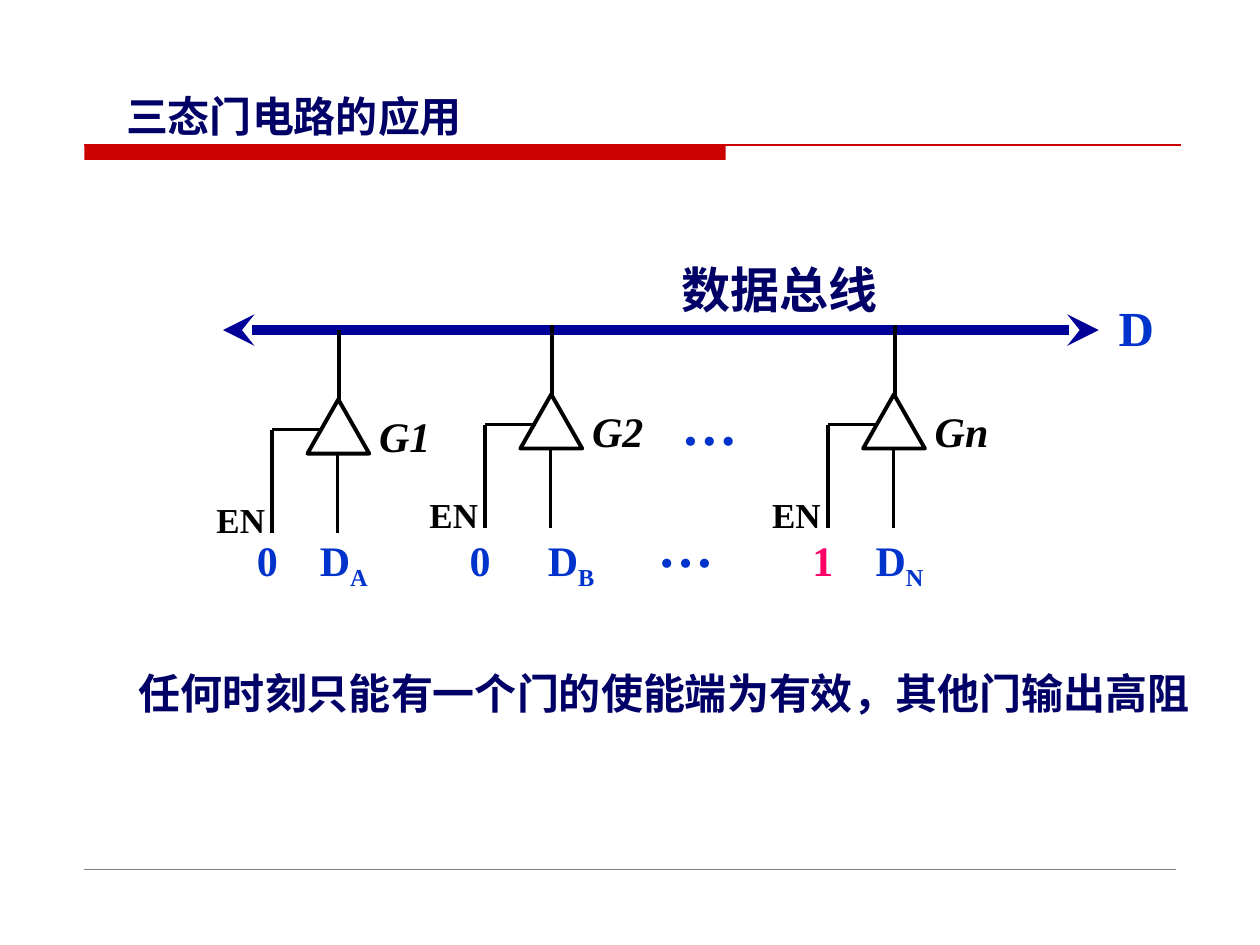
"""Build a slide on three-state gates sharing one data bus."""
from dataclasses import dataclass

from lxml.etree import SubElement
from pptx import Presentation
from pptx.dml.color import RGBColor
from pptx.enum.lang import MSO_LANGUAGE_ID
from pptx.enum.shapes import MSO_CONNECTOR, MSO_SHAPE
from pptx.enum.text import MSO_ANCHOR, MSO_AUTO_SIZE, PP_ALIGN
from pptx.oxml.ns import qn
from pptx.util import Inches, Pt

RED = RGBColor(0xCC, 0x00, 0x00)
GRAY = RGBColor(0x80, 0x80, 0x80)
NAVY = RGBColor(0x00, 0x00, 0x66)
BUS_BLUE = RGBColor(0x00, 0x00, 0x99)
BLUE = RGBColor(0x00, 0x33, 0xCC)
PINK = RGBColor(0xFF, 0x00, 0x66)
BLACK = RGBColor(0x00, 0x00, 0x00)
WHITE = RGBColor(0xFF, 0xFF, 0xFF)

SERIF = "Times New Roman"
CHINESE = "Noto Sans CJK SC"
HEADING = {"name": CHINESE, "size": Pt(24), "bold": True}
SIGNAL = {"name": SERIF, "size": Pt(24), "bold": True}
GATE_NAME = {**SIGNAL, "italic": True}
ENABLE = {**SIGNAL, "size": Pt(20)}
BUS = {**SIGNAL, "size": Pt(28)}
DOTS = {**SIGNAL, "size": Pt(32), "language_id": MSO_LANGUAGE_ID.SIMPLIFIED_CHINESE}

SIGNAL_TOP = 4.19
BUS_Y = 2.62


@dataclass(frozen=True)
class Gate:
    """A three-state gate placed by the apex of its triangle."""
    name: str
    x: float
    y: float
    enable: str
    enable_color: RGBColor
    subscript: str
    data_left: float


GATES = (
    Gate("G1", 2.69, 3.17, "0", BLUE, "A", 2.44),
    Gate("G2", 4.38, 3.13, "0", BLUE, "B", 4.25),
    Gate("Gn", 7.1, 3.13, "1", PINK, "N", 6.85),
)


def add_run(paragraph, text: str, style: dict, color: RGBColor):
    """Append a styled run and return it."""
    run = paragraph.add_run()
    run.text = text
    for attribute, value in style.items():
        setattr(run.font, attribute, value)
    run.font.color.rgb = color
    SubElement(run.font._element, qn("a:ea"), typeface=CHINESE)
    return run


def add_label(slide, text: str, box: tuple, style: dict, color: RGBColor, wrap: bool = False):
    """Add a one-line text box and return it."""
    label = slide.shapes.add_textbox(*map(Inches, box))
    label.text_frame.word_wrap = wrap
    add_run(label.text_frame.paragraphs[0], text, style, color)
    return label


def add_wire(slide, start: tuple, end: tuple, color: RGBColor, width: float, arrow: bool = False) -> None:
    """Draw a straight line, with a stealth arrowhead at its end if asked."""
    wire = slide.shapes.add_connector(MSO_CONNECTOR.STRAIGHT, *map(Inches, (*start, *end)))
    wire.line.color.rgb = color
    wire.line.width = Pt(width)
    SubElement(wire._element.spPr, qn("a:effectLst"))
    if arrow:
        SubElement(wire.line._get_or_add_ln(), qn("a:tailEnd"), type="stealth")


def add_block(slide, kind: MSO_SHAPE, box: tuple, fill: RGBColor):
    """Add a flat filled shape without an outline."""
    block = slide.shapes.add_shape(kind, *map(Inches, box))
    block.shadow.inherit = False
    block.fill.solid()
    block.fill.fore_color.rgb = fill
    block.line.fill.background()
    return block


def add_gate(slide, gate: Gate) -> None:
    """Draw a gate with its wires, names and signals."""
    x, y = gate.x, gate.y
    bit = add_block(slide, MSO_SHAPE.RECTANGLE, (x - 0.75, SIGNAL_TOP, 0.37, 0.5), WHITE)
    bit.text_frame.word_wrap = False
    bit.text_frame.paragraphs[0].alignment = PP_ALIGN.LEFT
    add_run(bit.text_frame.paragraphs[0], gate.enable, SIGNAL, gate.enable_color)

    data = add_label(slide, "D", (gate.data_left, SIGNAL_TOP, 0.88, 0.5), SIGNAL, BLUE, True)
    subscript = add_run(data.text_frame.paragraphs[0], gate.subscript, SIGNAL, BLUE)
    subscript.font._element.set("baseline", "-25000")

    add_wire(slide, (x - 0.01, y + 0.32), (x - 0.01, y + 1.06), BLACK, 2)
    add_wire(slide, (x, y + 0.28), (x, y - 0.55), BLACK, 2.25)
    triangle = add_block(slide, MSO_SHAPE.ISOSCELES_TRIANGLE, (x - 0.25, y, 0.49, 0.43), WHITE)
    triangle.line.color.rgb = BLACK
    triangle.line.width = Pt(2.25)
    corner = (x - 0.53, y + 0.24)
    add_wire(slide, (x - 0.13, y + 0.24), corner, BLACK, 2)
    add_wire(slide, corner, (x - 0.53, y + 1.06), BLACK, 2)
    add_label(slide, gate.name, (x + 0.22, y + 0.04, 0.68, 0.5), GATE_NAME, BLACK)
    add_label(slide, "EN", (x - 1.07, y + 0.74, 0.6, 0.43), ENABLE, BLACK)


def add_title(slide, text: str) -> None:
    """Place and format the title placeholder."""
    title = slide.shapes.title
    title.left, title.top, title.width, title.height = map(Inches, (0.9, 0.6, 5.5, 0.57))
    frame = title.text_frame
    layout = {"auto_size": MSO_AUTO_SIZE.NONE, "vertical_anchor": MSO_ANCHOR.BOTTOM, "word_wrap": True}
    for attribute, value in layout.items():
        setattr(frame, attribute, value)
    frame.paragraphs[0].alignment = PP_ALIGN.LEFT
    add_run(frame.paragraphs[0], text, HEADING, NAVY)


def main() -> None:
    """Assemble and save the slide."""
    presentation = Presentation()
    presentation.slide_width, presentation.slide_height = Inches(10), Inches(7.5)
    slide = presentation.slides.add_slide(presentation.slide_layouts[5])

    add_block(slide, MSO_SHAPE.RECTANGLE, (0.67, 1.15, 5.09, 0.12), RED)
    add_wire(slide, (0.67, 1.15), (9.37, 1.15), RED, 0.75)
    add_wire(slide, (0.67, 6.9), (9.33, 6.9), GRAY, 0.25)
    add_title(slide, "三态门电路的应用")

    for bus_end in (8.72, 1.77):
        add_wire(slide, (5.3, BUS_Y), (bus_end, BUS_Y), BUS_BLUE, 6, arrow=True)
    add_label(slide, "数据总线", (5.31, 2.01, 2.16, 0.57), BUS, NAVY, True)
    add_label(slide, "D", (8.78, 2.31, 0.9, 0.57), BUS, BLUE, True)

    for gate in GATES:
        add_gate(slide, gate)
    for left, top in ((5.31, 3.04), (5.12, 4.01)):
        add_label(slide, "…", (left, top, 0.65, 0.63), DOTS, BLUE)

    rule = add_label(slide, "任何时刻只能有一个门的使能端为有效，其他门输出高阻",
                     (0.98, 5.25, 8.58, 0.5), HEADING, NAVY)
    rule.text_frame.paragraphs[0].alignment = PP_ALIGN.CENTER
    presentation.save("out.pptx")


if __name__ == "__main__":
    main()
